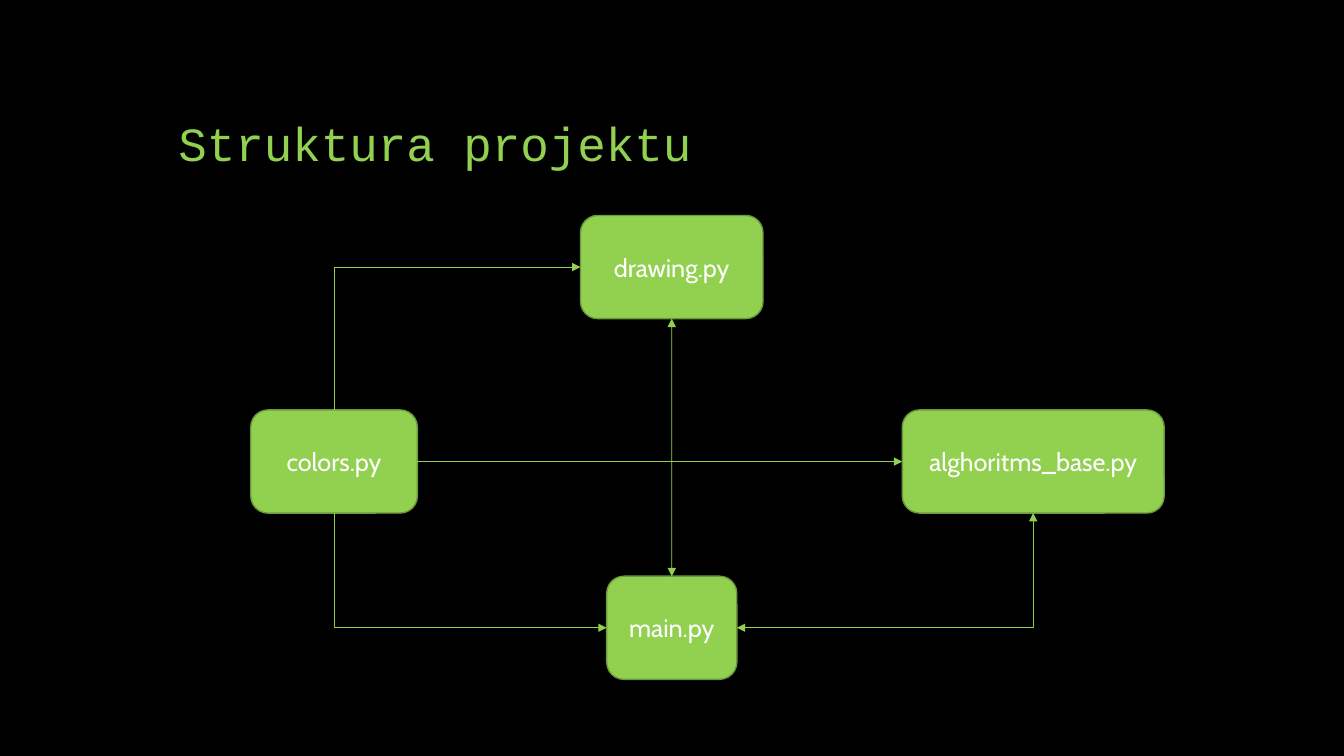
import pptx
import pptx.dml.color
import pptx.enum.shapes
import pptx.enum.text
import pptx.oxml
import pptx.oxml.ns
import pptx.util
from pptx.util import Cm

BLACK = pptx.dml.color.RGBColor(0x00, 0x00, 0x00)
WHITE = pptx.dml.color.RGBColor(0xFF, 0xFF, 0xFF)
GREEN = pptx.dml.color.RGBColor(0x92, 0xD0, 0x50)
DARK_GREEN = pptx.dml.color.RGBColor(0x6C, 0x9A, 0x3B)

TOP, LEFT, BOTTOM, RIGHT = range(4)
MODULE_HEIGHT = 2.6
MIDDLE_X = 16.93
MIDDLE_Y = 11.63


def add_run(paragraph, text, font_name, size, color):
    run = paragraph.add_run()
    run.text = text
    run.font.name = font_name
    run.font.size = pptx.util.Pt(size)
    run.font.color.rgb = color


def set_title(slide, text):
    title = slide.shapes.title
    title.left, title.top = Cm(4.24), Cm(1.27)
    title.width, title.height = Cm(25.4), Cm(3.18)
    frame = title.text_frame
    frame.auto_size = pptx.enum.text.MSO_AUTO_SIZE.NONE
    frame.vertical_anchor = pptx.enum.text.MSO_ANCHOR.BOTTOM
    heading = frame.paragraphs[0]
    heading.alignment = pptx.enum.text.PP_ALIGN.LEFT
    heading.line_spacing = 0.9
    add_run(heading, text, "Courier New", 34, GREEN)


def add_module(slide, file_name, center_x, center_y, width):
    """Add a rounded box for one source file, placed by its centre in cm."""
    module = slide.shapes.add_shape(
        pptx.enum.shapes.MSO_SHAPE.ROUNDED_RECTANGLE,
        Cm(center_x - width / 2), Cm(center_y - MODULE_HEIGHT / 2),
        Cm(width), Cm(MODULE_HEIGHT))
    module.shadow.inherit = False
    module.fill.solid()
    module.fill.fore_color.rgb = GREEN
    module.line.color.rgb = DARK_GREEN
    module.line.width = pptx.util.Pt(1)
    frame = module.text_frame
    frame.word_wrap = True
    frame.vertical_anchor = pptx.enum.text.MSO_ANCHOR.MIDDLE
    label = frame.paragraphs[0]
    label.alignment = pptx.enum.text.PP_ALIGN.CENTER
    add_run(label, file_name, "Cabin", 18, WHITE)
    return module


def side_middle(module, side):
    x = {LEFT: 0, RIGHT: module.width}.get(side, module.width // 2)
    y = {TOP: 0, BOTTOM: module.height}.get(side, module.height // 2)
    return module.left + x, module.top + y


def add_dependency(slide, start, start_side, end, end_side, arrows, bent=False):
    """Join two modules; arrows lists headEnd (start) and/or tailEnd (end).

    A bent connector has one corner and leaves its start horizontally.
    """
    kinds = pptx.enum.shapes.MSO_CONNECTOR
    dependency = slide.shapes.add_connector(
        kinds.ELBOW if bent else kinds.STRAIGHT,
        *side_middle(start, start_side), *side_middle(end, end_side))
    dependency.begin_connect(start, start_side)
    dependency.end_connect(end, end_side)
    dependency.line.color.rgb = GREEN
    dependency.line.width = pptx.util.Pt(0.5)

    properties = dependency.element.spPr
    if bent:
        geometry = properties.find(pptx.oxml.ns.qn("a:prstGeom"))
        geometry.set("prst", "bentConnector2")
    outline = properties.find(pptx.oxml.ns.qn("a:ln"))
    for arrow in arrows:
        outline.append(pptx.oxml.parse_xml(
            f'<a:{arrow} {pptx.oxml.ns.nsdecls("a")} type="triangle"/>'))
    properties.append(pptx.oxml.parse_xml(
        f'<a:effectLst {pptx.oxml.ns.nsdecls("a")}/>'))


def main():
    presentation = pptx.Presentation()
    presentation.slide_width, presentation.slide_height = Cm(33.87), Cm(19.05)
    slide = presentation.slides.add_slide(presentation.slide_layouts[5])
    slide.background.fill.solid()
    slide.background.fill.fore_color.rgb = BLACK

    set_title(slide, "Struktura projektu")

    main_module = add_module(slide, "main.py", MIDDLE_X, 15.82, 3.28)
    algorithms = add_module(slide, "alghoritms_base.py", 26.04, MIDDLE_Y, 6.6)
    drawing = add_module(slide, "drawing.py", MIDDLE_X, 6.73, 4.6)
    colors = add_module(slide, "colors.py", 8.42, MIDDLE_Y, 4.2)

    both = ("headEnd", "tailEnd")
    add_dependency(slide, main_module, RIGHT, algorithms, BOTTOM, both, bent=True)
    add_dependency(slide, drawing, LEFT, colors, TOP, ("headEnd",), bent=True)
    add_dependency(slide, main_module, LEFT, colors, BOTTOM, ("headEnd",), bent=True)
    add_dependency(slide, colors, RIGHT, algorithms, LEFT, ("tailEnd",))
    add_dependency(slide, drawing, BOTTOM, main_module, TOP, both)

    presentation.save("out.pptx")


if __name__ == "__main__":
    main()
